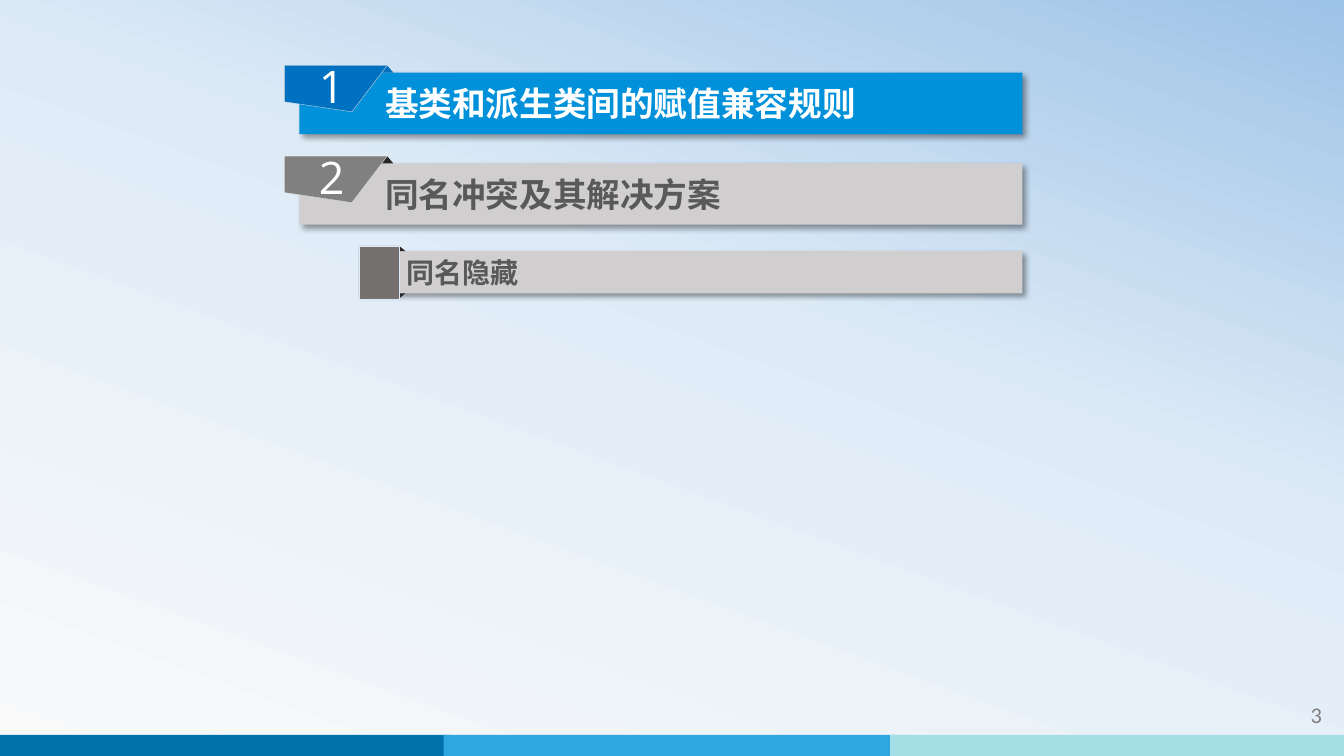
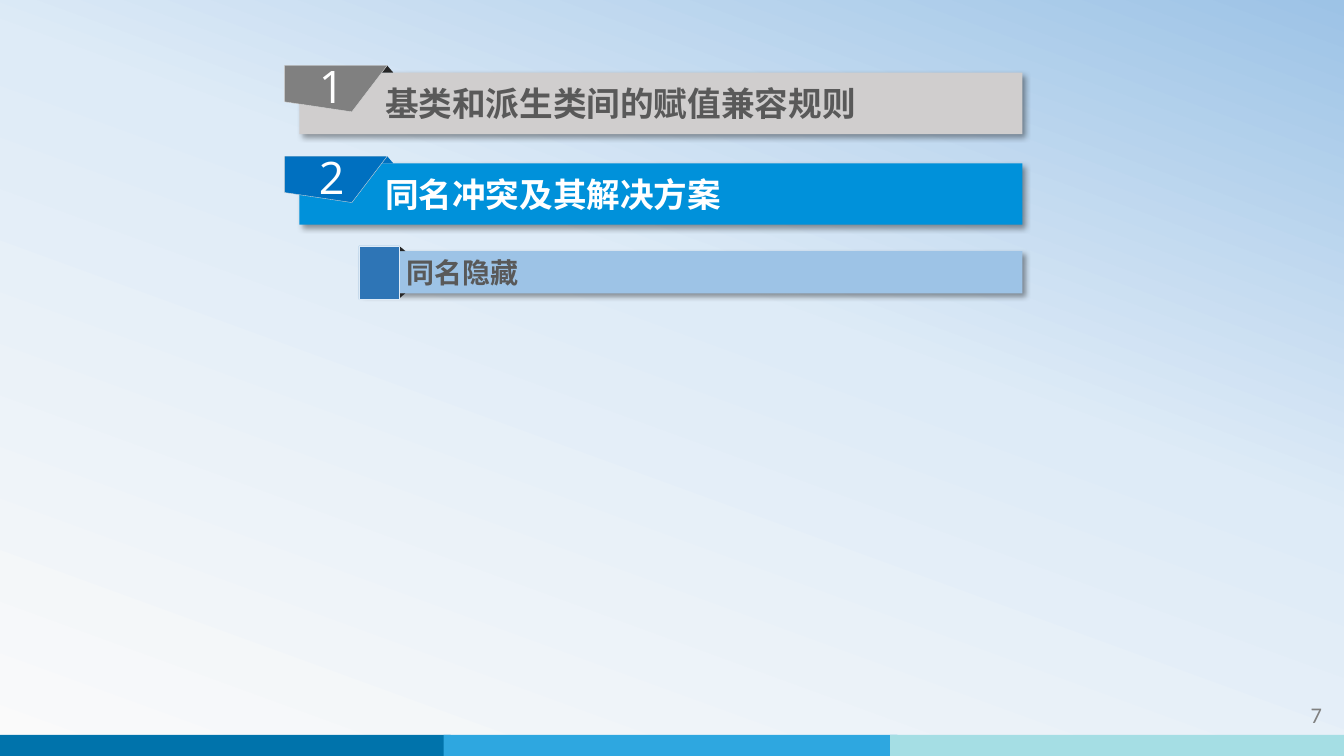
from copy import deepcopy
from lxml.etree import SubElement
from pptx import Presentation
from pptx.dml.color import RGBColor as RGB
from pptx.enum.shapes import MSO_SHAPE as Shape
from pptx.enum.text import MSO_ANCHOR as Anchor, PP_ALIGN as Align
from pptx.oxml.ns import qn
from pptx.util import Inches, Pt

COLORS = {
    "white": "FFFFFF", "text": "595959", "page": "808080",
    "blue": "0091DA", "navy": "0070C0", "silver": "D0CECE", "gray": "808080",
    "sky": "9DC3E6", "steel": "2E75B6", "stone": "767171", "fold": "262626",
    "edge": "D9D9D9", "rim": "DEEBF7", "black": "000000",
}
BANDS = ["0073AB", "2EA7E0", "A5DEE4"]
STOPS = [(0, "FAFAFA"), (0.58, "DEEBF7"), (1, "9DC3E6")]
CJK = "Noto Sans CJK SC"
TOPICS = ["基类和派生类间的赋值兼容规则", "同名冲突及其解决方案"]
SUB = "同名隐藏"
ACTIVE = {"bar": "blue", "tab": "navy", "fold": "navy", "ink": "white"}
IDLE = {"bar": "silver", "tab": "gray", "fold": "fold", "ink": "text"}


def color(name):
    """Turn a colour name or hex string into an RGB value."""
    return RGB.from_string(COLORS.get(name, name))


def paint(shape, fill, line=None):
    """Give a shape a flat fill and an optional hairline."""
    shape.shadow.inherit = False
    shape.fill.solid()
    shape.fill.fore_color.rgb = color(fill)
    if line:
        shape.line.color.rgb = color(line)
        shape.line.width = Pt(0.25)
    else:
        shape.line.fill.background()


def block(slide, kind, box, fill, line=None):
    """Add a painted preset shape."""
    shape = slide.shapes.add_shape(kind, *map(Inches, box))
    paint(shape, fill, line)
    return shape


def write(shape, text, size, font, ink, bold=False, align=Align.LEFT):
    """Set the one paragraph of a shape."""
    para = shape.text_frame.paragraphs[0]
    para.text = text
    para.alignment = align
    style = para.font
    style.size, style.name, style.bold = Pt(size), font, bold
    style.color.rgb = color(ink)
    props = para._p.pPr.find(qn("a:defRPr"))
    SubElement(props, qn("a:ea"), typeface=font)


def pad(shape, left, top, right, bottom):
    """Set the text margins and centre the text in height."""
    frame = shape.text_frame
    frame.margin_left, frame.margin_top = Inches(left), Inches(top)
    frame.margin_right, frame.margin_bottom = Inches(right), Inches(bottom)
    frame.vertical_anchor = Anchor.MIDDLE


def shade(shape):
    """Cast a soft shadow down to the right."""
    effects = shape.element.spPr.find(qn("a:effectLst"))
    outer = SubElement(effects, qn("a:outerShdw"), blurRad=str(Pt(4)),
                       dist=str(Pt(3)), dir=str(45 * 60000),
                       algn="tl", rotWithShape="0")
    tint = SubElement(outer, qn("a:srgbClr"), val=COLORS["black"])
    SubElement(tint, qn("a:alpha"), val="40000")


def bar(slide, box, fill, text, size, ink, indent):
    """Add a shadowed bar with an indented heading."""
    shape = block(slide, Shape.RECTANGLE, box, fill)
    shade(shape)
    pad(shape, indent, 0.05, 0.1, 0.05)
    write(shape, text, size, CJK, ink, True)


def topic(slide, num, text, look):
    """Add a main topic with its numbered, folded tab."""
    left, top = 2.82, 0.65 + 0.9 * (num - 1)
    bar(slide, (left + 0.15, top + 0.07, 7.17, 0.61), look["bar"],
        text, 24, look["ink"], 0.85)
    block(slide, Shape.ISOSCELES_TRIANGLE, (left + 0.96, top, 0.12, 0.07),
          look["fold"])
    corners = [(1.02, 0), (0.67, 0.46), (0, 0.36)]
    pen = slide.shapes.build_freeform(Inches(left), Inches(top))
    pen.add_line_segments([(Inches(left + x), Inches(top + y))
                           for x, y in corners])
    tab = pen.convert_to_shape()
    paint(tab, look["tab"], "edge")
    pad(tab, 0.09, 0.04, 0.17, 0.1)
    write(tab, str(num), 32, "Open Sans", "white", align=Align.CENTER)


def subtopic(slide, text, fill, clip):
    """Add a subtopic bar held by a clip with two folds."""
    bar(slide, (3.57, 2.49, 6.57, 0.42), fill, text, 20, "text", 0.46)
    for top, turn in ((2.44, 0), (2.91, 180)):
        fold = block(slide, Shape.ISOSCELES_TRIANGLE,
                     (3.9, top, 0.12, 0.05), "fold")
        fold.rotation = turn
    block(slide, Shape.RECTANGLE, (3.56, 2.44, 0.4, 0.53), clip, "rim")


def backdrop(slide):
    """Fill the background with a three-stop gradient."""
    fill = slide.background.fill
    fill.gradient()
    fill.gradient_angle = 70
    stops = slide.element.find(".//" + qn("a:gsLst"))
    stops.append(deepcopy(stops[0]))
    for stop, (place, tone) in zip(fill.gradient_stops, STOPS):
        stop.position = place
        stop.color.rgb = color(tone)


def base(deck, page):
    """Add a slide with the shared backdrop, bands and page number."""
    slide = deck.slides.add_slide(deck.slide_layouts[6])
    backdrop(slide)
    for i, tone in enumerate(BANDS):
        block(slide, Shape.RECTANGLE, (-0.03 + 4.43 * i, 7.29, 4.5, 0.21), tone)
    label = slide.shapes.add_textbox(*map(Inches, (11.62, 6.91, 1.59, 0.4)))
    label.text_frame.word_wrap = True
    write(label, str(page), 16, "Calibri", "page", align=Align.RIGHT)
    return slide


def agenda(deck, page, current, fill, clip):
    """Add an agenda slide with the current topic lit."""
    slide = base(deck, page)
    for num, text in enumerate(TOPICS, 1):
        topic(slide, num, text, ACTIVE if num == current else IDLE)
    subtopic(slide, SUB, fill, clip)


def main():
    """Build and save the deck."""
    deck = Presentation()
    deck.slide_width, deck.slide_height = Inches(13.33), Inches(7.5)
    agenda(deck, 3, 1, "silver", "stone")
    agenda(deck, 7, 2, "sky", "steel")
    deck.save("out.pptx")


main()
